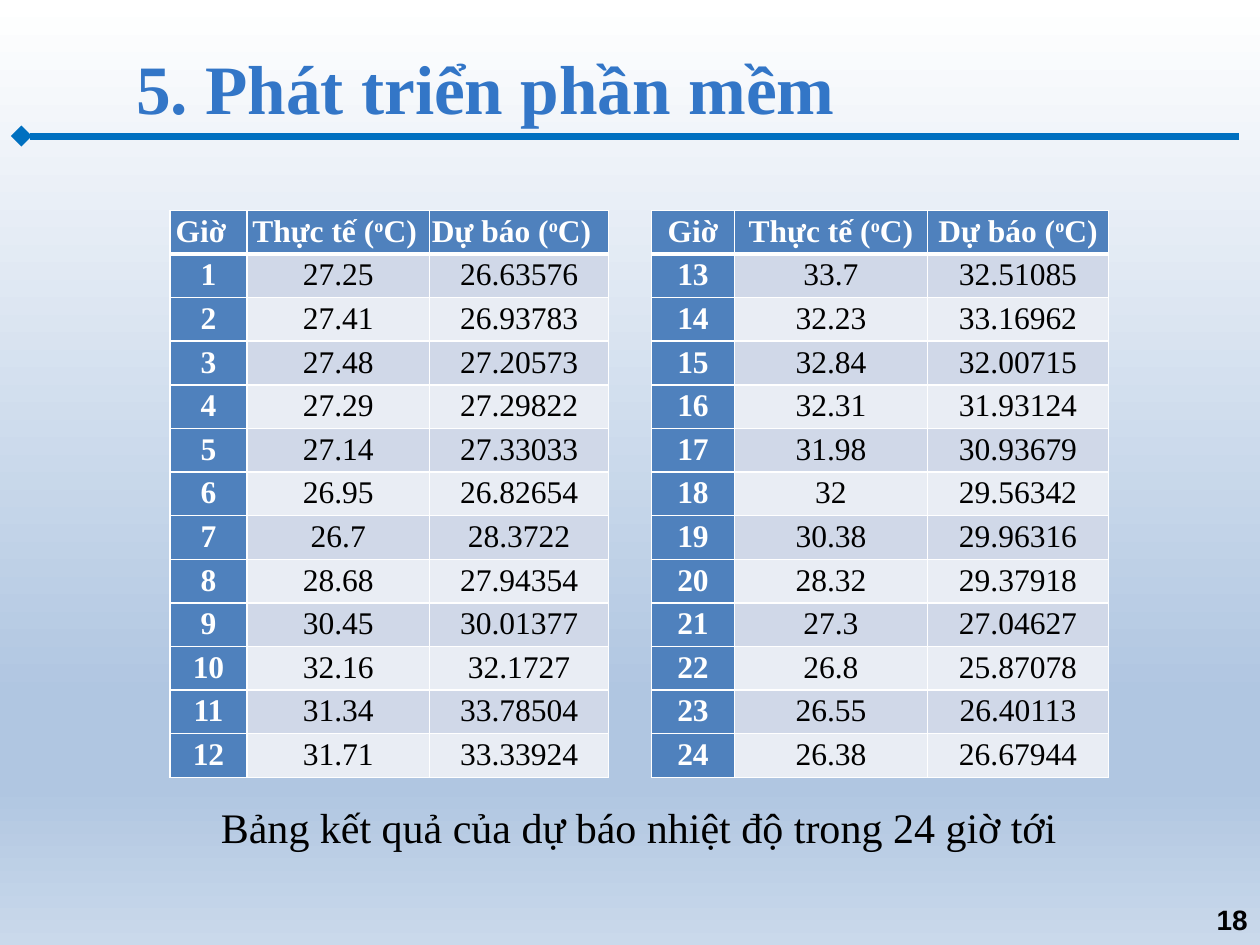
from copy import deepcopy

from lxml import etree
from pptx import Presentation
from pptx.dml.color import RGBColor
from pptx.enum.shapes import MSO_CONNECTOR
from pptx.enum.text import MSO_ANCHOR, MSO_AUTO_SIZE, PP_ALIGN
from pptx.oxml.ns import qn
from pptx.util import Inches, Pt

LEFT, CENTER, RIGHT = PP_ALIGN.LEFT, PP_ALIGN.CENTER, PP_ALIGN.RIGHT
TOP, MIDDLE = MSO_ANCHOR.TOP, MSO_ANCHOR.MIDDLE
NO_AUTOFIT = MSO_AUTO_SIZE.NONE
STRAIGHT = MSO_CONNECTOR.STRAIGHT

SERIF = "Times New Roman"
WHITE, BLACK, BLUE = "FFFFFF", "000000", "4F81BD"
BANDS = ["D0D8E8", "E9EDF4"]
BACKGROUND_STOPS = [(0, WHITE), (74, "B0C6E1"), (83, "B0C6E1"), (100, "CAD9EB")]

HEADERS = [["Giờ"], ["Thực tế (", "o", "C)"], ["Dự báo (", "o", "C)"]]
ACTUAL = [
    "27.25", "27.41", "27.48", "27.29", "27.14", "26.95",
    "26.7", "28.68", "30.45", "32.16", "31.34", "31.71",
    "33.7", "32.23", "32.84", "32.31", "31.98", "32",
    "30.38", "28.32", "27.3", "26.8", "26.55", "26.38",
]
FORECAST = [
    "26.63576", "26.93783", "27.20573", "27.29822", "27.33033", "26.82654",
    "28.3722", "27.94354", "30.01377", "32.1727", "33.78504", "33.33924",
    "32.51085", "33.16962", "32.00715", "31.93124", "30.93679", "29.56342",
    "29.96316", "29.37918", "27.04627", "25.87078", "26.40113", "26.67944",
]
HOURS = [
    [[str(hour)], [actual], [forecast]]
    for hour, (actual, forecast) in enumerate(zip(ACTUAL, FORECAST), 1)
]


def color(value):
    """Return the colour of a hex string."""
    return RGBColor.from_string(value)


def format_font(paragraph, size, font_color, bold=False, name=SERIF):
    """Set the font of a whole paragraph."""
    font = paragraph.font
    font.name, font.size, font.bold = name, Pt(size), bold
    font.color.rgb = color(font_color)


def fill_background(slide):
    """Give the slide its vertical gradient."""
    fill = slide.background.fill
    fill.gradient()
    fill.gradient_angle = 270
    stop_list = next(slide.element.iter(qn("a:gsLst")))
    for _ in BACKGROUND_STOPS[2:]:
        stop_list.append(deepcopy(stop_list[0]))
    for stop, (position, stop_color) in zip(fill.gradient_stops, BACKGROUND_STOPS):
        stop.position = position / 100
        stop.color.rgb = color(stop_color)


def add_title(slide, left, top, width, height):
    """Place the title in its box, with the diamond-headed rule below."""
    title = slide.shapes.title
    title.left, title.top, title.width, title.height = left, top, width, height
    frame = title.text_frame
    frame.text = "5. Phát triển phần mềm"
    frame.auto_size = NO_AUTOFIT
    frame.vertical_anchor = MIDDLE
    frame.paragraphs[0].alignment = LEFT
    format_font(frame.paragraphs[0], 39.6, "3376C7", bold=True)

    rule_top = top + height + Inches(0.02)
    rule = slide.shapes.add_connector(
        STRAIGHT, Inches(0.17), rule_top, Inches(9.83), rule_top
    )
    rule.line.color.rgb = color("0070C0")
    rule.line.width = Pt(4)
    etree.SubElement(rule.line._get_or_add_ln(), qn("a:headEnd"), type="diamond")
    etree.SubElement(rule._element.spPr, qn("a:effectLst"))


def add_borders(cell, top, bottom):
    """Draw white cell borders, with the given top and bottom widths in points."""
    properties = cell._tc.get_or_add_tcPr()
    for side, width in (("L", 1), ("R", 1), ("T", top), ("B", bottom)):
        line = etree.SubElement(properties, qn(f"a:ln{side}"), w=str(Pt(width)))
        fill = etree.SubElement(line, qn("a:solidFill"))
        etree.SubElement(fill, qn("a:srgbClr"), val=WHITE)


def write_cell(cell, parts, font_color, bold):
    """Write the parts into a cell, raising every second one."""
    paragraph = cell.text_frame.paragraphs[0]
    paragraph.alignment = CENTER
    paragraph.line_spacing = 1.07
    paragraph.space_after = Pt(8)
    format_font(paragraph, 18, font_color, bold)
    for index, part in enumerate(parts):
        run = paragraph.add_run()
        run.text = part
        if index % 2:
            run._r.get_or_add_rPr().set("baseline", "30000")


def add_hours_table(slide, left, top, height, column_widths, hours, margin, header_shifts):
    """Add a table of actual and forecast temperatures for some hours."""
    rows = [HEADERS] + hours
    table = slide.shapes.add_table(
        len(rows), len(HEADERS), left, top, Inches(sum(column_widths)), height
    ).table
    table.first_col = True
    for column, width in zip(table.columns, column_widths):
        column.width = Inches(width)
    for row_index, row in enumerate(rows):
        table.rows[row_index].height = height // len(rows)
        for column_index, parts in enumerate(row):
            cell = table.cell(row_index, column_index)
            is_heading = row_index == 0 or column_index == 0
            shift = header_shifts[column_index] if row_index == 0 else 0
            cell.margin_left = Inches(margin)
            cell.margin_right = Inches(margin + shift)
            cell.margin_top, cell.margin_bottom = Inches(0.01), 0
            add_borders(cell, 3 if row_index == 1 else 1, 3 if row_index == 0 else 1)
            cell.fill.solid()
            cell.fill.fore_color.rgb = color(
                BLUE if is_heading else BANDS[(row_index - 1) % 2]
            )
            write_cell(cell, parts, WHITE if is_heading else BLACK, is_heading)


def add_text(slide, left, top, width, height, text, alignment, anchor, size, **font):
    """Add a wrapped one-paragraph text box."""
    frame = slide.shapes.add_textbox(left, top, width, height).text_frame
    frame.word_wrap = True
    frame.vertical_anchor = anchor
    frame.text = text
    frame.paragraphs[0].alignment = alignment
    format_font(frame.paragraphs[0], size, BLACK, **font)


def main():
    """Build and save the presentation."""
    presentation = Presentation()
    presentation.slide_width, presentation.slide_height = Inches(10), Inches(7.5)
    slide = presentation.slides.add_slide(presentation.slide_layouts[5])
    fill_background(slide)
    add_title(slide, Inches(0.98), Inches(0.32), Inches(9.02), Inches(0.74))

    top, height = Inches(1.67), Inches(4.5)
    add_hours_table(
        slide, Inches(1.35), top, height, [0.61, 1.45, 1.42], HOURS[:12],
        0.01, [0.12, 0.06, 0.12],
    )
    add_hours_table(
        slide, Inches(5.17), top, height, [0.66, 1.53, 1.44], HOURS[12:],
        0.07, [0, 0, 0],
    )
    add_text(
        slide, Inches(1.61), Inches(6.31), Inches(6.92), Inches(0.51),
        "Bảng kết quả của dự báo nhiệt độ trong 24 giờ tới", CENTER, TOP, 24,
    )
    add_text(
        slide, Inches(7.67), Inches(7.1), Inches(2.33), Inches(0.4),
        "18", RIGHT, MIDDLE, 16, bold=True, name="Arial",
    )
    presentation.save("out.pptx")


if __name__ == "__main__":
    main()
